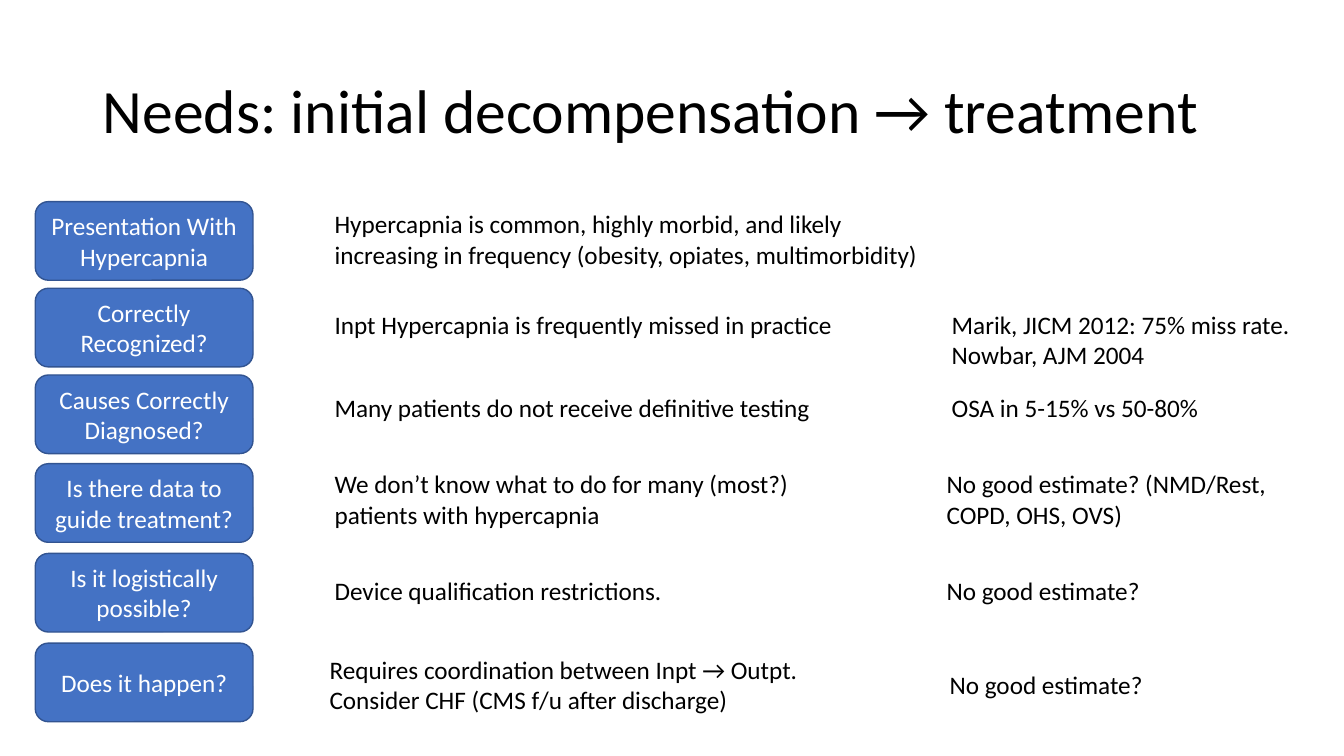
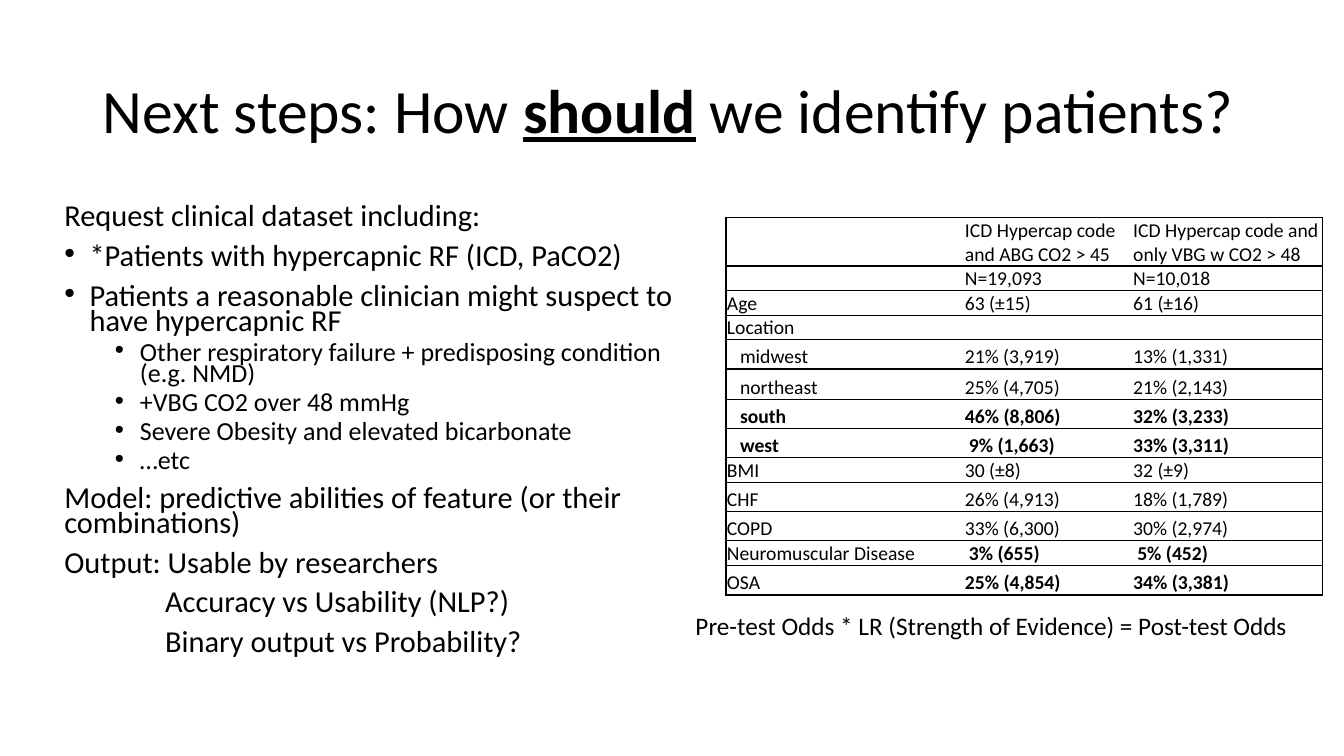
from lxml import etree
from pptx import Presentation
from pptx.dml.color import RGBColor
from pptx.enum.shapes import MSO_SHAPE
from pptx.enum.text import MSO_ANCHOR, MSO_AUTO_SIZE, PP_ALIGN
from pptx.oxml.ns import qn
from pptx.util import Inches, Pt

ROUNDED = MSO_SHAPE.ROUNDED_RECTANGLE
MIDDLE, BOTTOM = MSO_ANCHOR.MIDDLE, MSO_ANCHOR.BOTTOM
LEFT, CENTER = PP_ALIGN.LEFT, PP_ALIGN.CENTER
NO_FIT, GROW = MSO_AUTO_SIZE.NONE, MSO_AUTO_SIZE.SHAPE_TO_FIT_TEXT

# Shared look
FONT = "Calibri"
BLACK, WHITE, BLUE, NAVY = "000000", "FFFFFF", "4472C4", "325491"
TITLE_AREA = (0.92, 0.4, 11.5, 1.45)
TITLE_SIZE, TEXT_SIZE, TABLE_SIZE = 44, 18, 14
ONE_LINE, TWO_LINES = 0.4, 0.71

# Slide 1: step name and top edge
STEPS = [
    ("Presentation With Hypercapnia", 2),
    ("Correctly Recognized?", 2.86),
    ("Causes Correctly Diagnosed?", 3.72),
    ("Is there data to guide treatment?", 4.6),
    ("Is it logistically possible?", 5.49),
    ("Does it happen?", 6.38),
]
# Slide 1: left, top, width, height, paragraphs
FINDINGS = [
    (3.22, 2.02, 6.13, TWO_LINES, ["Hypercapnia is common, highly morbid, and likely "
                                   "increasing in frequency (obesity, opiates, multimorbidity)"]),
    (3.22, 3.02, 5.27, ONE_LINE, ["Inpt Hypercapnia is frequently missed in practice"]),
    (3.22, 3.84, 5.06, ONE_LINE, ["Many patients do not receive definitive testing"]),
    (3.22, 4.6, 4.78, TWO_LINES, ["We don’t know what to do for many (most?) "
                                  "patients with hypercapnia"]),
    (3.22, 5.66, 4.62, ONE_LINE, ["Device qualification restrictions."]),
    (3.17, 6.44, 5.11, TWO_LINES, ["Requires coordination between Inpt → Outpt. "
                                   "Consider CHF (CMS f/u after discharge)"]),
]
ESTIMATES = [
    (9.34, 3.02, 3.69, TWO_LINES, ["Marik, JICM 2012: 75% miss rate.", "Nowbar, AJM 2004"]),
    (9.34, 3.84, 3.64, ONE_LINE, ["OSA in 5-15% vs 50-80%"]),
    (9.29, 4.6, 3.69, TWO_LINES, ["No good estimate? (NMD/Rest, COPD, OHS, OVS)"]),
    (9.29, 5.66, 2.7, ONE_LINE, ["No good estimate?"]),
    (9.32, 6.59, 2.7, ONE_LINE, ["No good estimate?"]),
]

# Slide 2: outline styles and paragraphs
OUTLINE_STYLES = {
    "plain": {"size": 21.7, "before": 10, "left": 0, "bullet": False},
    "inset": {"size": 21.7, "before": 10, "left": 1, "bullet": False},
    "bullet": {"size": 21.7, "before": 10, "left": 0.25, "bullet": True},
    "sub": {"size": 18.6, "before": 5, "left": 0.75, "bullet": True},
}
OUTLINE = [
    ("plain", "Request clinical dataset including:"),
    ("bullet", "*Patients with hypercapnic RF (ICD, PaCO2)"),
    ("bullet", "Patients a reasonable clinician might suspect to have hypercapnic RF"),
    ("sub", "Other respiratory failure + predisposing condition (e.g. NMD)"),
    ("sub", "+VBG CO2 over 48 mmHg"),
    ("sub", "Severe Obesity and elevated bicarbonate"),
    ("sub", "…etc"),
    ("plain", "Model: predictive abilities of feature (or their combinations)"),
    ("plain", "Output: Usable by researchers"),
    ("inset", "Accuracy vs Usability (NLP?)"),
    ("inset", "Binary output vs Probability?"),
]

# Slide 2: cohort table
COLUMN_WIDTHS = [2.36, 1.67, 1.89]
ROW_HEIGHTS = [0.48, 0.24, 0.24, 0.24, 0.29, 0.3, 0.29, 0.29, 0.24, 0.29, 0.29, 0.25, 0.29]
COHORTS = [
    ("", "ICD Hypercap code and ABG CO2 > 45", "ICD Hypercap code and only VBG w CO2 > 48"),
    ("", "N=19,093", "N=10,018"),
    ("Age", "63 (±15)", "61 (±16)"),
    ("Location", "", ""),
    ("midwest", "21% (3,919)", "13% (1,331)"),
    ("northeast", "25% (4,705)", "21% (2,143)"),
    ("south", "46% (8,806)", "32% (3,233)"),
    ("west", "9% (1,663)", "33% (3,311)"),
    ("BMI", "30 (±8)", "32 (±9)"),
    ("CHF", "26% (4,913)", "18% (1,789)"),
    ("COPD", "33% (6,300)", "30% (2,974)"),
    ("Neuromuscular Disease", "3% (655)", "5% (452)"),
    ("OSA", "25% (4,854)", "34% (3,381)"),
]
REGIONS = {"midwest", "northeast", "south", "west"}
BOLD_LABELS = {"south", "west"}
BOLD_VALUES = BOLD_LABELS | {"Neuromuscular Disease", "OSA"}


def color(value):
    return RGBColor.from_string(value)


def inches(values):
    return [Inches(value) for value in values]


def add_span(para, text, size=TEXT_SIZE, ink=BLACK, **formats):
    span = para.add_run()
    span.text = text
    span.font.color.rgb = color(ink)
    settings = {"name": FONT, "size": Pt(size), **formats}
    for name, value in settings.items():
        setattr(span.font, name, value)


def paragraphs(frame, count):
    """Return the first paragraph and as many new ones as needed."""
    return [frame.paragraphs[0]] + [frame.add_paragraph() for _ in range(count - 1)]


def add_page(deck, spans):
    """Add a title-only page; spans are (text, formats) pairs."""
    page = deck.slides.add_slide(deck.slide_layouts[5])
    title = page.shapes.title
    title.left, title.top, title.width, title.height = inches(TITLE_AREA)
    frame = title.text_frame
    frame.auto_size, frame.word_wrap = NO_FIT, True
    frame.vertical_anchor = MIDDLE
    para = frame.paragraphs[0]
    para.alignment, para.line_spacing = LEFT, 0.9
    for text, formats in spans:
        add_span(para, text, TITLE_SIZE, **formats)
    return page


def add_text(page, left, top, width, height, lines):
    box = page.shapes.add_textbox(*inches((left, top, width, height)))
    frame = box.text_frame
    frame.word_wrap, frame.auto_size = True, GROW
    for para, line in zip(paragraphs(frame, len(lines)), lines):
        add_span(para, line)


def add_step(page, text, top):
    box = page.shapes.add_shape(ROUNDED, *inches((0.35, top, 2.16, 0.78)))
    box.shadow.inherit = False
    box.fill.solid()
    box.fill.fore_color.rgb = color(BLUE)
    box.line.color.rgb = color(NAVY)
    box.line.width = Pt(1)
    frame = box.text_frame
    frame.word_wrap, frame.vertical_anchor = True, MIDDLE
    para = frame.paragraphs[0]
    para.alignment = CENTER
    add_span(para, text, ink=WHITE)


def set_indent(para, left, bullet):
    props = para._p.get_or_add_pPr()
    props.set("marL", str(Inches(left)))
    props.set("indent", str(Inches(-0.25 if bullet else 0)))
    if bullet:
        etree.SubElement(props, qn("a:buFont"), typeface="Arial")
        etree.SubElement(props, qn("a:buChar"), char="•")


def add_outline(page, area, items):
    frame = page.shapes.add_textbox(*inches(area)).text_frame
    frame.word_wrap = True
    for index, (para, (kind, text)) in enumerate(zip(paragraphs(frame, len(items)), items)):
        style = OUTLINE_STYLES[kind]
        set_indent(para, style["left"], style["bullet"])
        para.line_spacing = 0.7
        if index:
            para.space_before = Pt(style["before"])
        add_span(para, text, style["size"])


def set_borders(cell, visible):
    """Draw the visible sides (letters of LRTB) and clear the others."""
    props = cell._tc.get_or_add_tcPr()
    for index, side in enumerate("LRTB"):
        line = etree.Element(qn(f"a:ln{side}"), w=str(Pt(1)))
        if side in visible:
            fill = etree.SubElement(line, qn("a:solidFill"))
            etree.SubElement(fill, qn("a:srgbClr"), val=BLACK)
        else:
            etree.SubElement(line, qn("a:noFill"))
        props.insert(index, line)


def fill_cell(cell, text, indent, bold, borders):
    cell.fill.solid()
    cell.fill.fore_color.rgb = color(WHITE)
    margins = {"left": 0.01 + indent, "right": 0.01, "top": 0.01, "bottom": 0}
    for side, value in margins.items():
        setattr(cell, f"margin_{side}", Inches(value))
    cell.vertical_anchor = BOTTOM
    para = cell.text_frame.paragraphs[0]
    if text:
        add_span(para, text, TABLE_SIZE, bold=bold)
    else:
        # An empty cell needs its own text size to keep the row low
        etree.SubElement(para._p, qn("a:endParaRPr"), sz=str(TABLE_SIZE * 100))
    set_borders(cell, borders)


def add_cohort_table(page, left, top):
    area = inches((left, top, sum(COLUMN_WIDTHS), sum(ROW_HEIGHTS)))
    table = page.shapes.add_table(len(COHORTS), len(COLUMN_WIDTHS), *area).table
    table.first_row = table.horz_banding = False
    for column, width in zip(table.columns, COLUMN_WIDTHS):
        column.width = Inches(width)
    for row, height in zip(table.rows, ROW_HEIGHTS):
        row.height = Inches(height)
    for row_index, texts in enumerate(COHORTS):
        label = texts[0]
        for column_index, text in enumerate(texts):
            bold = label in (BOLD_VALUES if column_index else BOLD_LABELS)
            # Regions sit under Location; one-digit shares line up with the rest
            indent = 0.13 if text in REGIONS else 0.04 if text[1:2] == "%" else 0
            borders = "TB" + ("L", "", "R")[column_index]
            fill_cell(table.cell(row_index, column_index), text, indent, bold, borders)


def build_needs(deck):
    page = add_page(deck, [("Needs: initial decompensation → treatment", {})])
    for text, top in STEPS:
        add_step(page, text, top)
    for note in FINDINGS + ESTIMATES:
        add_text(page, *note)


def build_next_steps(deck):
    page = add_page(deck, [
        ("Next steps: How ", {}),
        ("should", {"bold": True, "underline": True}),
        (" we identify patients?", {}),
    ])
    add_outline(page, (0.54, 2, 6.3, 4.76), OUTLINE)
    add_cohort_table(page, 7.2, 2.16)
    add_text(page, 6.8, 6.01, 6.17, ONE_LINE,
             ["Pre-test Odds * LR (Strength of Evidence) = Post-test Odds"])


def main():
    deck = Presentation()
    deck.slide_width, deck.slide_height = inches((13.33, 7.5))
    build_needs(deck)
    build_next_steps(deck)
    deck.save("out.pptx")


if __name__ == "__main__":
    main()
